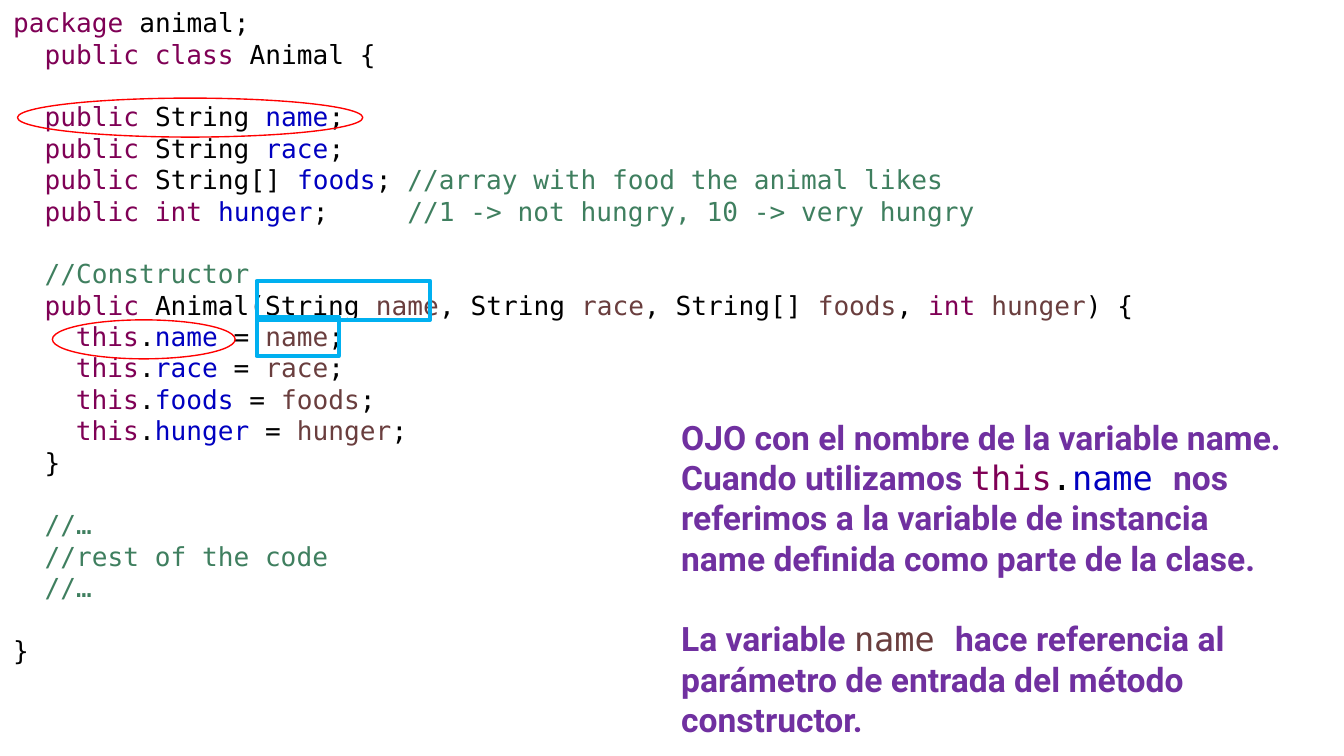
from dataclasses import dataclass

import pptx
import pptx.dml.color
import pptx.enum.shapes
import pptx.enum.text
import pptx.util

Pt, Inches = pptx.util.Pt, pptx.util.Inches
SHAPE = pptx.enum.shapes.MSO_SHAPE


@dataclass(frozen=True)
class Theme:
    code_font: str = "DejaVu Sans Mono"
    note_font: str = "Roboto"
    code_size: int = 14
    note_size: int = 18
    leading: float = 1.2     # line pitch as a share of the type size
    char_width: float = 0.6  # monospaced advance as a share of the type size
    plain: str = "000000"
    keyword: str = "7F0055"
    field: str = "0000C0"
    param: str = "6A3E3E"
    comment: str = "3F7F5F"
    note: str = "7030A0"
    field_mark: str = "FF0000"
    param_mark: str = "00B0F0"


T = Theme()
COMMENT_COLUMN = 23  # counted from the indent of the class body


def rgb(value):
    return pptx.dml.color.RGBColor.from_string(value)


def add_run(p, text, color=T.plain, font=T.code_font, size=T.code_size, bold=False):
    r = p.add_run()
    r.text = text
    r.font.name, r.font.size, r.font.bold = font, Pt(size), bold
    r.font.color.rgb = rgb(color)


def add_text_box(slide, left, top, width, height):
    tf = slide.shapes.add_textbox(*map(Inches, (left, top, width, height))).text_frame
    tf.word_wrap = True
    tf.auto_size = pptx.enum.text.MSO_AUTO_SIZE.NONE
    return tf


def add_paragraph(tf, size, gap=False):
    """Start a paragraph; gap leaves one line free above it."""
    p = tf.paragraphs[0]
    if p.runs:
        p = tf.add_paragraph()
    p.line_spacing = Pt(size * T.leading)
    p.space_before = Pt(size * T.leading if gap else 0)
    return p


def add_code_line(tf, columns, *tokens, gap=False):
    """Write one line of code, indented by a number of character columns."""
    p = add_paragraph(tf, T.code_size, gap)
    ppr = p._p.get_or_add_pPr()
    ppr.set("marL", str(Pt(columns * T.code_size * T.char_width)))
    ppr.set("indent", "0")
    for text, color in tokens:
        add_run(p, text, color)


def add_code(slide):
    tf = add_text_box(slide, 0, 0, 9.95, 5.05)

    # Class header
    add_code_line(tf, 0, ("package", T.keyword), (" animal;", T.plain))
    add_code_line(tf, 2, ("public class", T.keyword), (" Animal {", T.plain))

    # Instance variables, with their comments lined up in one column
    fields = [
        ("String", "name", T.plain, ""),
        ("String", "race", T.plain, ""),
        ("String[]", "foods", T.plain, "//array with food the animal likes"),
        ("int", "hunger", T.keyword, "//1 -> not hungry, 10 -> very hungry"),
    ]
    for i, (kind, name, color, comment) in enumerate(fields):
        tokens = [("public ", T.keyword), (kind + " ", color), (name, T.field)]
        if comment:
            used = sum(len(text) for text, _ in tokens)
            tokens += [(";".ljust(COMMENT_COLUMN - used), T.plain), (comment, T.comment)]
        else:
            tokens.append((";", T.plain))
        add_code_line(tf, 2, *tokens, gap=i == 0)

    # Constructor
    add_code_line(tf, 2, ("//Constructor", T.comment), gap=True)
    signature = [("public", T.keyword), (" Animal(", T.plain)]
    for i, (kind, name, color, _) in enumerate(fields):
        if i:
            signature.append((", ", T.plain))
        signature += [(kind + " ", color), (name, T.param)]
    add_code_line(tf, 2, *signature, (") {", T.plain))
    for _, name, _, _ in fields:
        add_code_line(tf, 4, ("this", T.keyword), (".", T.plain), (name, T.field),
                      (" = ", T.plain), (name, T.param), (";", T.plain))
    add_code_line(tf, 2, ("}", T.plain))

    # Closing lines
    for i, text in enumerate(("//…", "//rest of the code", "//…")):
        add_code_line(tf, 2, (text, T.comment), gap=i == 0)
    add_code_line(tf, 0, ("}", T.plain), gap=True)


def add_note(slide):
    tf = add_text_box(slide, 4.97, 3.05, 4.7, 2.52)
    prose = dict(color=T.note, font=T.note_font, size=T.note_size, bold=True)

    p = add_paragraph(tf, T.note_size)
    add_run(p, "OJO con el nombre de la variable name. Cuando utilizamos ", **prose)
    for text, color in (("this", T.keyword), (".", T.plain), ("name ", T.field)):
        add_run(p, text, color, size=T.note_size)
    add_run(p, "nos referimos a la variable de instancia name definida "
               "como parte de la clase.", **prose)

    p = add_paragraph(tf, T.note_size, gap=True)
    add_run(p, "La variable ", **prose)
    add_run(p, "name ", T.param, size=T.note_size)
    add_run(p, "hace referencia al parámetro de entrada del método constructor.", **prose)


def add_mark(slide, kind, left, top, width, color, weight, height=0.29):
    sp = slide.shapes.add_shape(kind, *map(Inches, (left, top, width, height)))
    sp.shadow.inherit = False
    sp.fill.background()
    sp.line.color.rgb = rgb(color)
    sp.line.width = Pt(weight)


def main():
    prs = pptx.Presentation()
    prs.slide_width = Inches(10)
    prs.slide_height = prs.slide_width * 9 // 16
    slide = prs.slides.add_slide(prs.slide_layouts[6])

    add_code(slide)
    add_note(slide)

    # Ellipses mark the instance variable, boxes mark the parameter
    for left, top, width in ((0.13, 0.73, 2.57), (0.39, 2.38, 1.36)):
        add_mark(slide, SHAPE.OVAL, left, top, width, T.field_mark, 0.75)
    for left, top, width in ((1.91, 2.09, 1.29), (1.91, 2.36, 0.61)):
        add_mark(slide, SHAPE.RECTANGLE, left, top, width, T.param_mark, 2.25)

    prs.save("out.pptx")


if __name__ == "__main__":
    main()
